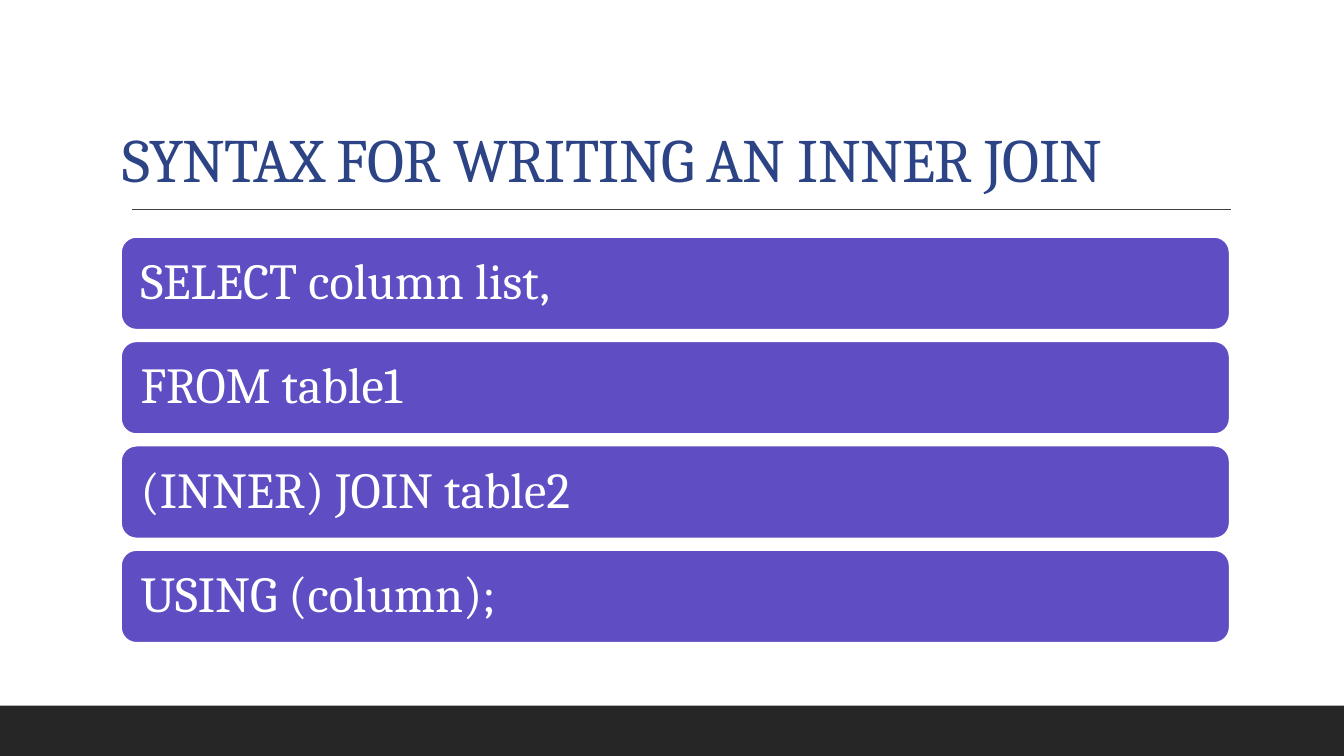
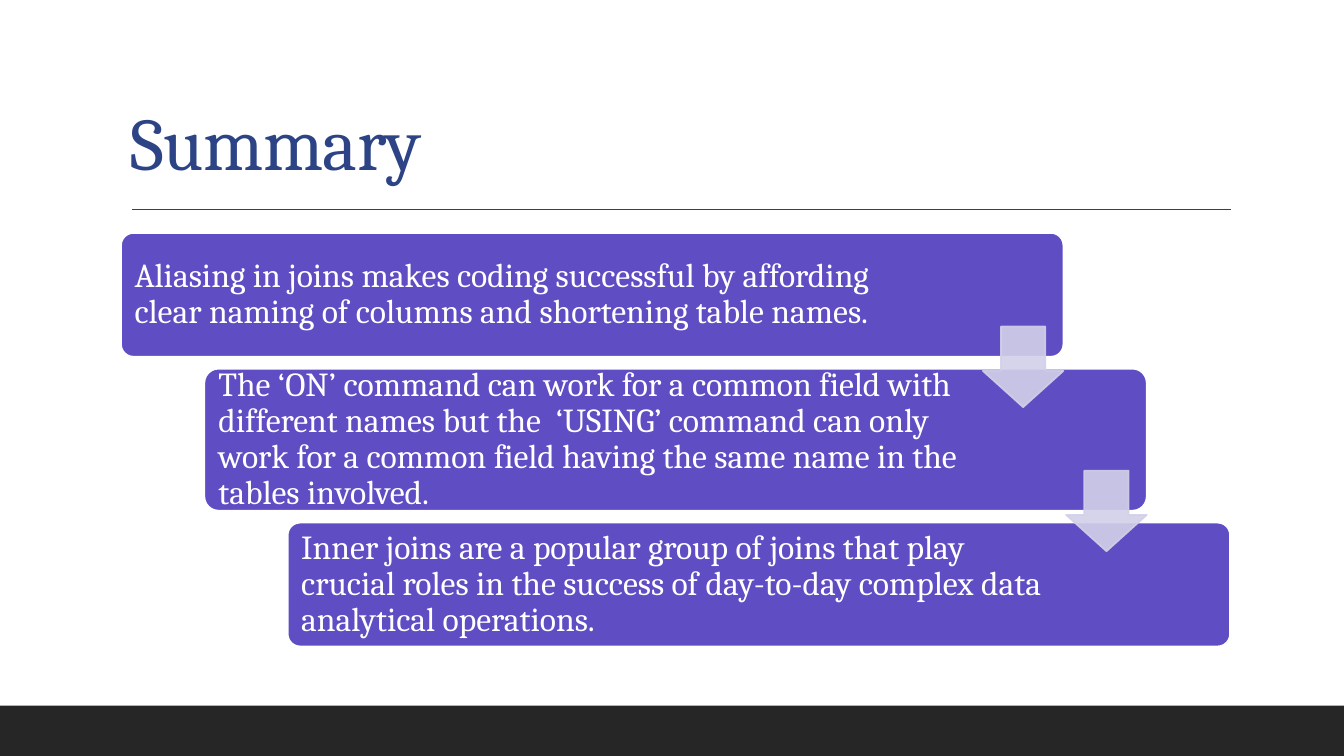
"""Build two slides on inner joins: the syntax and a summary."""
from lxml.etree import SubElement
from pptx import Presentation
from pptx.dml.color import RGBColor
from pptx.enum.shapes import MSO_CONNECTOR, MSO_SHAPE
from pptx.enum.text import MSO_ANCHOR, PP_ALIGN
from pptx.oxml.ns import qn
from pptx.util import Cm, Pt

WHITE = RGBColor(0xFF, 0xFF, 0xFF)
NAVY = RGBColor(0x2C, 0x44, 0x85)
PURPLE = RGBColor(0x5E, 0x4D, 0xC3)
LAVENDER = RGBColor(0xD2, 0xD0, 0xE9)
CHARCOAL = RGBColor(0x26, 0x26, 0x26)
GRAY = RGBColor(0x40, 0x40, 0x40)
FONT = "Cambria"

LEFT = 3.05
STATEMENT_TOP, STATEMENT_HEIGHT, STATEMENT_STEP = 5.97, 2.34, 2.63
POINT_TOP, POINT_WIDTH, POINT_INDENT, POINT_GAP = 5.87, 23.75, 2.1, 0.3
ARROW_SIZE = 2.03

TITLES = [
    ("SYNTAX FOR WRITING AN INNER JOIN", 44, 2.84, 1.02, 28.73),
    ("Summary", 53, LEFT, 0.79, 27.94),
]
STATEMENTS = [
    "SELECT column list,",
    "FROM table1",
    "(INNER) JOIN table2",
    "USING (column);",
]
POINTS = [
    ("Aliasing in joins makes coding successful by affording clear naming of "
     "columns and shortening table names.", 3.12, 3.43),
    ("The ‘ON’ command can work for a common field with different names but "
     "the  ‘USING’ command can only work for a common field having the same "
     "name in the tables involved.", 3.58, 4.37),
    ("Inner joins are a popular group of joins that play crucial roles in the "
     "success of day-to-day complex data analytical operations.", 3.12, 4.37),
]
ARROW_TOPS = [8.23, 11.86]


def write(shape, text, size, color=WHITE, anchor=MSO_ANCHOR.MIDDLE,
          inset=0.25, right=None, vertical=None, tracking=0):
    frame = shape.text_frame
    frame.word_wrap = True
    frame.vertical_anchor = anchor
    frame.margin_left = Cm(inset)
    frame.margin_right = Cm(inset if right is None else right)
    frame.margin_top = frame.margin_bottom = Cm(inset if vertical is None else vertical)
    paragraph = frame.paragraphs[0]
    paragraph.alignment = PP_ALIGN.LEFT
    paragraph.line_spacing = 0.9
    run = paragraph.add_run()
    run.text = text
    run.font.name = FONT
    run.font.size = Pt(size)
    run.font.color.rgb = color
    if tracking:
        run._r.get_or_add_rPr().set("spc", str(tracking))


def add_block(slide, kind, left, top, width, height, fill, line=None):
    shape = slide.shapes.add_shape(kind, Cm(left), Cm(top), Cm(width), Cm(height))
    shape.shadow.inherit = False
    shape.fill.solid()
    shape.fill.fore_color.rgb = fill
    if line is None:
        shape.line.fill.background()
    else:
        shape.line.color.rgb = line
        shape.line.width = Pt(1.25)
    return shape


presentation = Presentation()
presentation.slide_width = Cm(33.87)
presentation.slide_height = Cm(19.05)

for title, size, left, top, width in TITLES:
    slide = presentation.slides.add_slide(presentation.slide_layouts[6])
    add_block(slide, MSO_SHAPE.RECTANGLE, 0, 17.78, 33.87, 1.27, CHARCOAL)
    rule = slide.shapes.add_connector(
        MSO_CONNECTOR.STRAIGHT, Cm(3.33), Cm(5.28), Cm(31.01), Cm(5.28))
    rule.line.color.rgb = GRAY
    rule.line.width = Pt(1)
    SubElement(rule._element.spPr, qn("a:effectLst"))
    heading = slide.shapes.add_textbox(Cm(left), Cm(top), Cm(width), Cm(4.04))
    write(heading, title, size, color=NAVY, anchor=MSO_ANCHOR.BOTTOM,
          vertical=0.13, tracking=-50)

syntax_slide, summary_slide = presentation.slides

for index, statement in enumerate(STATEMENTS):
    bar = add_block(syntax_slide, MSO_SHAPE.ROUNDED_RECTANGLE, LEFT,
                    STATEMENT_TOP + index * STATEMENT_STEP, 27.94,
                    STATEMENT_HEIGHT, PURPLE, WHITE)
    write(bar, statement, 36, inset=0.38)

top = POINT_TOP
for index, (point, height, right) in enumerate(POINTS):
    box = add_block(summary_slide, MSO_SHAPE.ROUNDED_RECTANGLE,
                    LEFT + index * POINT_INDENT, top, POINT_WIDTH, height,
                    PURPLE, WHITE)
    box.adjustments[0] = 0.1
    write(box, point, 24, right=right)
    top += height + POINT_GAP

for index, top in enumerate(ARROW_TOPS):
    left = LEFT + index * POINT_INDENT + POINT_WIDTH - ARROW_SIZE
    arrow = add_block(summary_slide, MSO_SHAPE.DOWN_ARROW, left, top,
                      ARROW_SIZE, ARROW_SIZE, LAVENDER, LAVENDER)
    arrow.adjustments[0] = 0.55
    arrow.adjustments[1] = 0.45
    for color in arrow._element.spPr.iter(qn("a:srgbClr")):
        SubElement(color, qn("a:alpha"), val="90000")

presentation.save("out.pptx")
